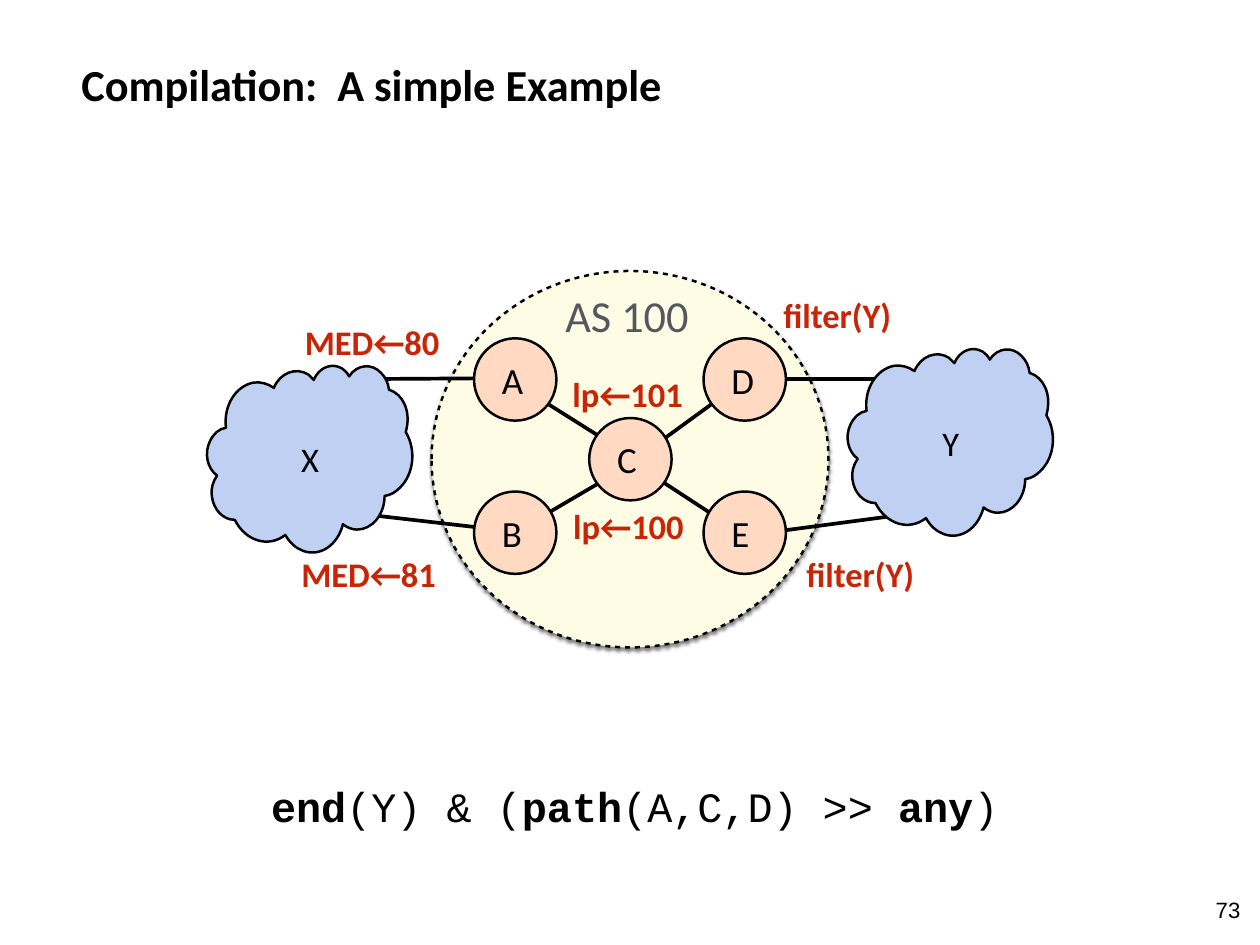
import dataclasses

import lxml.etree
import pptx
import pptx.dml.color
import pptx.enum.shapes
import pptx.enum.text
import pptx.oxml.ns
import pptx.util

Inches = pptx.util.Inches
ALIGN = pptx.enum.text.PP_ALIGN
ANCHOR = pptx.enum.text.MSO_ANCHOR
OVAL = pptx.enum.shapes.MSO_SHAPE.OVAL
qn = pptx.oxml.ns.qn


@dataclasses.dataclass(frozen=True)
class Theme:
    ink: str = "000000"
    grey: str = "53585F"
    red: str = "C82506"
    system: str = "FEFCE4"
    router: str = "FFD9C1"
    cloud: str = "BFD0F2"
    body: str = "Calibri"
    code: str = "Courier New"
    number: str = "Arial"
    heading_size: int = 36
    code_size: int = 34
    router_size: int = 30
    label_size: int = 28
    number_size: int = 18
    outline: int = 2
    link: int = 3


THEME = Theme()

# Cloud outline in hundredths of an inch: start, then curves (two controls and an end)
CLOUD_SIZE = (232, 211)
CLOUD_START = (21, 70)
CLOUD_CURVES = [
    ((18, 45), (32, 23), (52, 19)), ((60, 18), (68, 20), (75, 25)),
    ((82, 8), (100, 1), (114, 10)), ((116, 12), (118, 14), (120, 16)),
    ((126, 2), (140, -4), (152, 3)), ((155, 5), (158, 8), (160, 12)),
    ((169, -2), (186, -3), (196, 8)), ((201, 13), (204, 19), (205, 27)),
    ((221, 32), (229, 51), (225, 70)), ((225, 72), (225, 73), (224, 75)),
    ((236, 95), (233, 123), (217, 138)), ((212, 143), (207, 146), (200, 147)),
    ((200, 168), (186, 185), (169, 185)), ((164, 185), (158, 183), (153, 179)),
    ((147, 203), (127, 216), (108, 209)), ((100, 206), (93, 200), (88, 191)),
    ((69, 206), (43, 198), (31, 174)), ((18, 174), (7, 163), (5, 147)),
    ((4, 139), (6, 131), (11, 124)), ((0, 116), (-4, 99), (3, 85)),
    ((7, 77), (13, 71), (21, 70)),
]


def rgb(color):
    return pptx.dml.color.RGBColor.from_string(color)


def add_element(parent, tag, **attributes):
    return lxml.etree.SubElement(parent, qn(tag), **attributes)


def set_values(target, values):
    for name, value in values.items():
        setattr(target, name, value)


def write_text(shape, runs, size, color=THEME.ink, font=THEME.body,
               align=ALIGN.LEFT, anchor=ANCHOR.TOP, inset=0.06, left_inset=None):
    """Fill a shape with one paragraph of (text, bold) runs."""
    left = inset if left_inset is None else left_inset
    set_values(shape.text_frame, {
        "word_wrap": True, "vertical_anchor": anchor, "margin_left": Inches(left),
        "margin_right": Inches(inset), "margin_top": Inches(inset),
        "margin_bottom": Inches(inset)})
    paragraph = shape.text_frame.paragraphs[0]
    paragraph.alignment = align
    for text, bold in runs:
        run = paragraph.add_run()
        run.text = text
        set_values(run.font, {"name": font, "size": pptx.util.Pt(size), "bold": bold})
        run.font.color.rgb = rgb(color)


def add_text(slide, box, runs, size, **style):
    shape = slide.shapes.add_textbox(*map(Inches, box))
    write_text(shape, runs, size, **style)


def paint(shape, fill):
    shape.shadow.inherit = False
    shape.fill.solid()
    shape.fill.fore_color.rgb = rgb(fill)
    shape.line.color.rgb = rgb(THEME.ink)
    shape.line.width = pptx.util.Pt(THEME.outline)


def add_link(slide, start, end):
    link = slide.shapes.add_connector(
        pptx.enum.shapes.MSO_CONNECTOR.STRAIGHT, *map(Inches, (*start, *end)))
    link.line.color.rgb = rgb(THEME.ink)
    link.line.width = pptx.util.Pt(THEME.link)
    add_element(link.element.spPr, "a:effectLst")


def add_dashes_and_shadow(shape):
    """Evenly dashed outline and a soft shadow below the shape."""
    properties = shape.element.spPr
    dashes = add_element(properties.find(qn("a:ln")), "a:custDash")
    add_element(dashes, "a:ds", d="200000", sp="200000")
    shadow = add_element(
        properties.find(qn("a:effectLst")), "a:outerShdw", blurRad=str(pptx.util.Pt(3)),
        dist=str(pptx.util.Pt(2)), dir="5400000", rotWithShape="0")
    color = add_element(shadow, "a:srgbClr", val=THEME.ink)
    add_element(color, "a:alpha", val="50000")


def add_cloud(slide, left, top, name):
    # The frame sets the size, then curves take the place of its sides
    width, height = CLOUD_SIZE
    builder = slide.shapes.build_freeform(0, 0, scale=Inches(0.01))
    builder.add_line_segments([(width, 0), (width, height), (0, height)])
    cloud = builder.convert_to_shape(Inches(left), Inches(top))
    outline = next(cloud.element.iter(qn("a:pathLst")))[0]
    for side in list(outline):
        outline.remove(side)
    for tag, points in [("a:moveTo", [CLOUD_START]),
                        *(("a:cubicBezTo", curve) for curve in CLOUD_CURVES)]:
        segment = add_element(outline, tag)
        for x, y in points:
            add_element(segment, "a:pt", x=str(x), y=str(y))
    add_element(outline, "a:close")
    paint(cloud, THEME.cloud)
    write_text(cloud, [(name, False)], THEME.label_size, align=ALIGN.CENTER,
               anchor=ANCHOR.MIDDLE, inset=0.05)


def add_router(slide, left, top, name, diameter=0.93):
    router = slide.shapes.add_shape(OVAL, *map(Inches, (left, top, diameter, diameter)))
    paint(router, THEME.router)
    write_text(router, [(name, False)], THEME.router_size, anchor=ANCHOR.MIDDLE,
               inset=0, left_inset=0.18)


def add_title(slide, box):
    title = slide.shapes.title
    set_values(title, dict(zip(("left", "top", "width", "height"), map(Inches, box))))
    write_text(title, [("Compilation:  A simple Example", True)], THEME.heading_size,
               anchor=ANCHOR.MIDDLE)


def add_network(slide, box):
    """Autonomous system with its routers, neighbours and policy labels."""
    left, top = box[:2]
    system = slide.shapes.add_shape(OVAL, *map(Inches, box))
    paint(system, THEME.system)
    add_dashes_and_shadow(system)
    add_text(slide, (left + 1.45, top + 0.14, 1.58, 0.68), [("AS 100", False)],
             THEME.heading_size, color=THEME.grey)

    # Links between routers, then links to the neighbours
    for x1, y1, x2, y2 in [
            (2.24, 2.14, 3.54, 2.99), (2.26, 2.16, 3.55, 1.22),
            (0.91, 2.97, 2.29, 2.16), (0.9, 1.24, 2.28, 2.11),
            (-0.73, 1.22, 0.9, 1.21), (-0.91, 2.73, 0.92, 2.94),
            (3.59, 1.22, 5.4, 1.22), (3.67, 2.97, 5.33, 2.75)]:
        add_link(slide, (left + x1, top + y1), (left + x2, top + y2))

    # Neighbours and routers
    add_cloud(slide, left + 4.7, top + 0.88, "Y")
    west, middle, east = 0.48, 1.78, 3.07
    upper, centre, lower = 0.76, 1.66, 2.49
    for name, x, y in [("A", west, upper), ("C", middle, centre), ("D", east, upper),
                       ("E", east, lower), ("B", west, lower)]:
        add_router(slide, left + x, top + y, name)
    add_cloud(slide, left - 2.53, top + 1.07, "X")

    # Policy labels
    for text, x, y, width in [
            ("lp←100", 1.54, 2.58, 1.57), ("lp←101", 1.53, 1.09, 1.57),
            ("MED←80", -1.49, 0.51, 1.92), ("MED←81", -1.53, 3.12, 1.92),
            ("filter(Y)", 3.91, 0.2, 1.69), ("filter(Y)", 4.17, 3.12, 1.69)]:
        add_text(slide, (left + x, top + y, width, 0.58), [(text, True)],
                 THEME.label_size, color=THEME.red)


def add_policy(slide, box):
    runs = [("end", True), ("(Y) & (", False), ("path", True),
            ("(A,C,D) >> ", False), ("any", True), (")", False)]
    add_text(slide, box, runs, THEME.code_size, font=THEME.code, left_inset=0.31)


def main():
    presentation = pptx.Presentation()
    presentation.slide_width = Inches(14.22)
    presentation.slide_height = Inches(10.67)
    slide = presentation.slides.add_slide(presentation.slide_layouts[5])
    add_title(slide, (0.86, 0.28, 12.5, 1.33))
    add_network(slide, (4.87, 3.06, 4.48, 4.25))
    add_policy(slide, (2.75, 8.75, 8.71, 0.61))
    add_text(slide, (13.61, 10.06, 0.5, 0.4), [("73", False)], THEME.number_size,
             font=THEME.number, align=ALIGN.CENTER)
    presentation.save("out.pptx")


if __name__ == "__main__":
    main()
